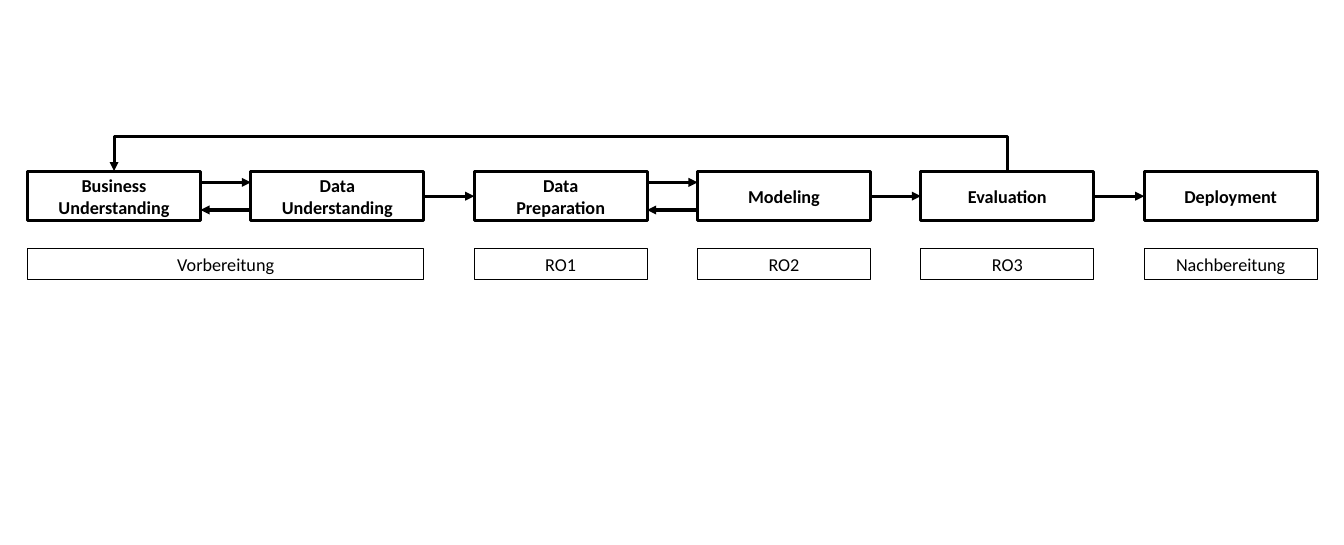
from lxml import etree
from pptx import Presentation
from pptx.dml.color import RGBColor
from pptx.enum import shapes, text
from pptx.oxml.ns import qn
from pptx.util import Inches, Pt

COLORS = {"ink": "000000", "paper": "FFFFFF"}
INK = RGBColor.from_string(COLORS["ink"])
PAPER = RGBColor.from_string(COLORS["paper"])

PHASES = ["Business Understanding", "Data\nUnderstanding", "Data\nPreparation",
          "Modeling", "Evaluation", "Deployment"]
TWO_WAY = {0, 2}  # phases that exchange results with the next one
# Label, first phase, last phase
STAGES = [("Vorbereitung", 0, 1), ("RO1", 2, 2), ("RO2", 3, 3),
          ("RO3", 4, 4), ("Nachbereitung", 5, 5)]
PHASE_WIDTH = 2.38
BOLD_LINE, THIN_LINE = 3, 1


def add_box(slide, label, left, top, width, height, line_width, bold=False):
    box = slide.shapes.add_shape(shapes.MSO_SHAPE.RECTANGLE, Inches(left), Inches(top),
                                 Inches(width), Inches(height))
    box.shadow.inherit = False
    box.fill.solid()
    box.fill.fore_color.rgb = PAPER
    box.line.color.rgb = INK
    box.line.width = Pt(line_width)
    frame = box.text_frame
    frame.text = label
    frame.word_wrap = True
    frame.vertical_anchor = text.MSO_ANCHOR.MIDDLE
    for paragraph in frame.paragraphs:
        paragraph.alignment = text.PP_ALIGN.CENTER
        font = paragraph.runs[0].font
        font.name, font.size, font.bold = "Calibri", Pt(18), bold
        font.color.rgb = INK


def add_arrow(slide, x1, y1, x2, y2, kind=shapes.MSO_CONNECTOR.STRAIGHT):
    arrow = slide.shapes.add_connector(kind, Inches(x1), Inches(y1), Inches(x2), Inches(y2))
    arrow.line.color.rgb = INK
    arrow.line.width = Pt(BOLD_LINE)
    properties = arrow._element.spPr
    etree.SubElement(properties.find(qn("a:ln")), qn("a:tailEnd"), type="triangle")
    etree.SubElement(properties, qn("a:effectLst"))
    return arrow


def add_feedback(slide, start_x, end_x, y, rise):
    """Elbow that leaves a box top, runs back above the row and ends on another box top."""
    depth, span = 0.01, start_x - end_x
    left, top = (start_x + end_x - depth) / 2, y - span / 2
    feedback = add_arrow(slide, left, top, left + depth, top + span,
                         shapes.MSO_CONNECTOR.ELBOW)
    properties = feedback._element.spPr
    frame = properties.find(qn("a:xfrm"))
    frame.set("rot", str(270 * 60000))
    frame.set("flipV", "1")
    adjustments = properties.find(qn("a:prstGeom")).get_or_add_avLst()
    etree.SubElement(adjustments, qn("a:gd"), name="adj1",
                     fmla=f"val {round(rise / depth * 100000)}")


def phase_lefts(left, width):
    pitch = (width - PHASE_WIDTH) / (len(PHASES) - 1)
    return [left + i * pitch for i in range(len(PHASES))]


def add_phases(slide, left, top, width, height):
    lefts = phase_lefts(left, width)
    for label, x in zip(PHASES, lefts):
        add_box(slide, label, x, top, PHASE_WIDTH, height, BOLD_LINE, bold=True)

    # Arrows between neighbouring phases
    middle, offset = top + height / 2, 0.19
    for i, end in enumerate(lefts[1:]):
        start = lefts[i] + PHASE_WIDTH
        if i in TWO_WAY:
            add_arrow(slide, start, middle - offset, end, middle - offset)
            add_arrow(slide, end, middle + offset, start, middle + offset)
        else:
            add_arrow(slide, start, middle, end, middle)

    # Return from evaluation to business understanding
    centers = [x + PHASE_WIDTH / 2 for x in lefts]
    add_feedback(slide, centers[PHASES.index("Evaluation")], centers[0], top, rise=0.5)


def add_stages(slide, left, top, width, height):
    lefts = phase_lefts(left, width)
    for label, first, last in STAGES:
        stage_width = lefts[last] + PHASE_WIDTH - lefts[first]
        add_box(slide, label, lefts[first], top, stage_width, height, THIN_LINE)


presentation = Presentation()
presentation.slide_width, presentation.slide_height = Inches(18.5), Inches(7.5)
process = presentation.slides.add_slide(presentation.slide_layouts[6])
add_phases(process, 0.38, 2.36, 17.75, 0.68)
add_stages(process, 0.38, 3.42, 17.75, 0.43)
presentation.save("out.pptx")
